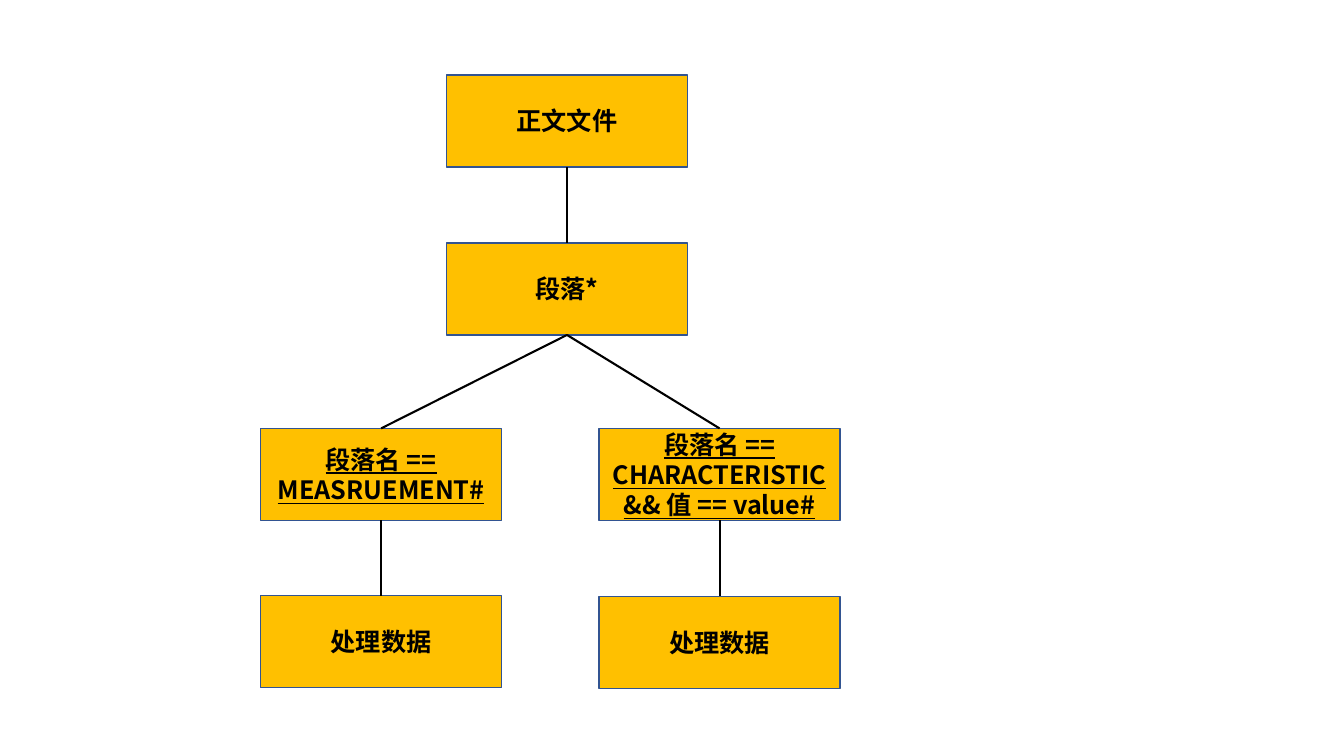
from dataclasses import dataclass

from lxml import etree
from pptx import Presentation
from pptx import util as u
from pptx.dml.color import RGBColor
from pptx.enum import shapes, text
from pptx.oxml.ns import qn

# name: (label, column centre, row top, is a condition)
BOXES = {
    "file": ("正文文件", 405, 53.5, False),
    "paragraph": ("段落*", 405, 173.5, False),
    "measurement": ("段落名 == MEASRUEMENT#", 272.25, 306, True),
    "characteristic": ("段落名 == CHARACTERISTIC && 值 == value#", 514, 306, True),
    "measurement data": ("处理数据", 272.25, 425.5, False),
    "characteristic data": ("处理数据", 514, 426, False),
}
LINKS = [
    ("file", "paragraph"),
    ("paragraph", "measurement"),
    ("paragraph", "characteristic"),
    ("measurement", "measurement data"),
    ("characteristic", "characteristic data"),
]
BOX_WIDTH, BOX_HEIGHT = 172, 65.75
TOP, BOTTOM = 0, 2


@dataclass(frozen=True)
class Theme:
    fill: RGBColor = RGBColor(0xFF, 0xC0, 0x00)
    border: RGBColor = RGBColor(0x32, 0x54, 0x91)
    ink: RGBColor = RGBColor(0, 0, 0)
    font: str = "Noto Sans CJK SC"
    size: float = 18
    condition_spacing: float = 21.5
    border_width: float = 1
    link_width: float = 1.5


THEME = Theme()


def add_box(slide, label, centre, top, is_condition):
    box = slide.shapes.add_shape(
        shapes.MSO_SHAPE.RECTANGLE,
        u.Pt(centre - BOX_WIDTH / 2), u.Pt(top), u.Pt(BOX_WIDTH), u.Pt(BOX_HEIGHT))
    box.shadow.inherit = False
    box.fill.solid()
    box.fill.fore_color.rgb = THEME.fill
    box.line.color.rgb = THEME.border
    box.line.width = u.Pt(THEME.border_width)

    frame = box.text_frame
    frame.text = label
    frame.word_wrap = True
    frame.vertical_anchor = text.MSO_ANCHOR.MIDDLE
    paragraph = frame.paragraphs[0]
    paragraph.alignment = text.PP_ALIGN.CENTER
    if is_condition:
        paragraph.line_spacing = u.Pt(THEME.condition_spacing)
    font = paragraph.runs[0].font
    font.name = THEME.font
    font.size = u.Pt(THEME.size)
    font.bold = True
    font.underline = is_condition
    font.color.rgb = THEME.ink
    properties = paragraph.runs[0]._r.get_or_add_rPr()
    etree.SubElement(properties, qn("a:ea"), typeface=THEME.font)
    return box


def add_link(slide, parent, child):
    link = slide.shapes.add_connector(shapes.MSO_CONNECTOR.STRAIGHT, 0, 0, 0, 0)
    link.begin_connect(parent, BOTTOM)
    link.end_connect(child, TOP)
    link.line.color.rgb = THEME.ink
    link.line.width = u.Pt(THEME.link_width)
    etree.SubElement(link._element.spPr, qn("a:effectLst"))


def main():
    presentation = Presentation()
    presentation.slide_width, presentation.slide_height = u.Pt(960), u.Pt(540)
    slide = presentation.slides.add_slide(presentation.slide_layouts[6])
    boxes = {name: add_box(slide, *content) for name, content in BOXES.items()}
    for parent, child in LINKS:
        add_link(slide, boxes[parent], boxes[child])
    presentation.save("out.pptx")


if __name__ == "__main__":
    main()
